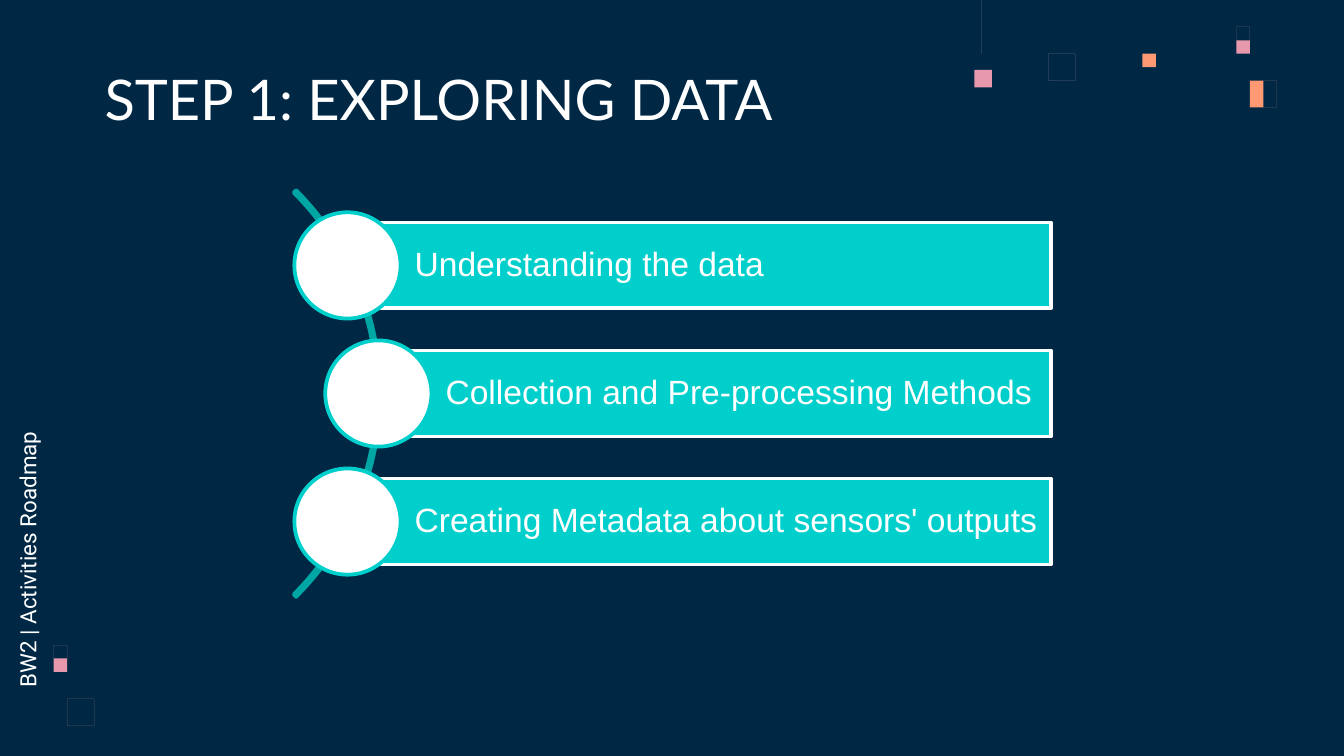
from lxml import etree
from pptx import Presentation
from pptx.dml.color import RGBColor
from pptx.enum.shapes import MSO_SHAPE
from pptx.enum.text import MSO_ANCHOR, PP_ALIGN
from pptx.util import Emu, Inches, Pt

RECTANGLE = MSO_SHAPE.RECTANGLE
OVAL = MSO_SHAPE.OVAL
BLOCK_ARC = MSO_SHAPE.BLOCK_ARC
TOP, MIDDLE, BOTTOM = MSO_ANCHOR.TOP, MSO_ANCHOR.MIDDLE, MSO_ANCHOR.BOTTOM
LEFT = PP_ALIGN.LEFT

# The slide is a square grid of 100 columns by 56.25 rows.
WIDTH = Inches(10)
COLUMNS, ROWS = 100, 56.25
CELL = WIDTH / COLUMNS

NAVY, WHITE = "002845", "FFFFFF"
TURQUOISE, TEAL = "00CFCC", "00A6A3"
BLUSH, PINK, ORANGE = "FFD6E1", "E898AC", "FF9973"

# Left, top, side, colour
FRAMES = [
    (78, 4, 1.8, BLUSH),
    (91.9, 2.4, 1.2, PINK),
    (85, 4, 0.55, ORANGE),
    (93.4, 5.9, 1.8, ORANGE),
    (3.5, 48.3, 1.2, PINK),
    (5, 51.9, 1.8, ORANGE),
]
FRAME_EDGE = 0.1

# Label, left edge of its circle
STEPS = [
    ("Understanding the data", 21.9),
    ("Collection and Pre-processing Methods", 24.2),
    ("Creating Metadata about sensors' outputs", 21.9),
]
MIDDLE_ROW = 29.28
STEP_PITCH = 9.53
CIRCLE = 7.9
BAR_HEIGHT, BAR_RIGHT = 6.4, 78.2
ARC, ARC_CENTRE = 42.8, 6.9


def cells(count):
    return Emu(round(count * CELL))


def colour(value):
    return RGBColor.from_string(value)


def paint(shape, fill=None, line=None):
    shape.shadow.inherit = False
    if fill:
        shape.fill.solid()
        shape.fill.fore_color.rgb = colour(fill)
    else:
        shape.fill.background()
    if line:
        shape.line.color.rgb = colour(line)
        shape.line.width = Pt(2)
    else:
        shape.line.fill.background()


def add_preset(slide, preset, box, fill=None, line=None):
    shape = slide.shapes.add_shape(preset, *map(cells, box))
    paint(shape, fill, line)
    return shape


def add_outline(slide, contours, fill):
    """Draw one filled shape from closed contours given in grid cells."""
    builder = slide.shapes.build_freeform(*contours[0][0], scale=CELL)
    builder.add_line_segments(contours[0][1:])
    for contour in contours[1:]:
        builder.move_to(*contour[0])
        builder.add_line_segments(contour[1:])
    paint(builder.convert_to_shape(), fill)


def add_frame(slide, left, top, side, fill):
    right, bottom = left + side, top + side
    edge = FRAME_EDGE
    outer = [(left, top), (left, bottom), (right, bottom), (right, top)]
    inner = [
        (right - edge, top + edge),
        (right - edge, bottom - edge),
        (left + edge, bottom - edge),
        (left + edge, top + edge),
    ]
    add_outline(slide, [outer, inner], fill)


def write(shape, text, font_name, size, anchor, insets, line_spacing=1.0):
    """Fill a shape with one line; insets are left, top, right, bottom."""
    frame = shape.text_frame
    frame.word_wrap = True
    frame.vertical_anchor = anchor
    (frame.margin_left, frame.margin_top,
     frame.margin_right, frame.margin_bottom) = map(cells, insets)
    paragraph = frame.paragraphs[0]
    paragraph.alignment = LEFT
    paragraph.line_spacing = line_spacing
    run = paragraph.add_run()
    run.text = text
    run.font.name = font_name
    run.font.size = Pt(size)
    run.font.color.rgb = colour(WHITE)


def add_text(slide, box, text, font_name, size, anchor, insets, rotation=0):
    shape = slide.shapes.add_textbox(*map(cells, box))
    shape.rotation = rotation
    write(shape, text, font_name, size, anchor, insets)


def add_decoration(slide):
    for frame in FRAMES:
        add_frame(slide, *frame)
    add_preset(slide, RECTANGLE, (72.5, 5.2, 1.3, 1.3), PINK)
    add_outline(slide, [[(73.2, 0), (73.2, 4.3), (73.3, 4.3)]], BLUSH)


def add_arc(slide):
    box = (ARC_CENTRE - ARC / 2, MIDDLE_ROW - ARC / 2, ARC, ARC)
    arc = add_preset(slide, BLOCK_ARC, box, line=TEAL)
    for index, value in enumerate((189, 27, 0.006)):
        arc.adjustments[index] = value


def add_step(slide, label, circle_left, centre):
    bar_left = circle_left + CIRCLE / 2
    bar_box = (bar_left, centre - BAR_HEIGHT / 2,
               BAR_RIGHT - bar_left, BAR_HEIGHT)
    bar = add_preset(slide, RECTANGLE, bar_box, TURQUOISE, WHITE)
    write(bar, label, "Arial", 18, MIDDLE, (5, 0.5, 0.5, 0.5), 0.9)
    circle_box = (circle_left, centre - CIRCLE / 2, CIRCLE, CIRCLE)
    add_preset(slide, OVAL, circle_box, WHITE, TURQUOISE)


def main():
    presentation = Presentation()
    presentation.slide_width = WIDTH
    presentation.slide_height = cells(ROWS)
    slide = presentation.slides.add_slide(presentation.slide_layouts[6])
    slide.background.fill.solid()
    slide.background.fill.fore_color.rgb = colour(NAVY)

    add_decoration(slide)
    add_text(slide, (6.8, 4.5, 67.3, 6.3), "STEP 1: EXPLORING DATA",
             "Lato", 30, BOTTOM, (1, 1, 1, 1))
    add_text(slide, (-9.8, 39.1, 23.3, 3.6), "BW2 | Activities Roadmap",
             "Roboto", 12, TOP, (1.4, 1, 1, 1), rotation=270)
    add_arc(slide)
    for index, (label, circle_left) in enumerate(STEPS):
        centre = MIDDLE_ROW + (index - 1) * STEP_PITCH
        add_step(slide, label, circle_left, centre)

    presentation.save("out.pptx")


if __name__ == "__main__":
    main()
